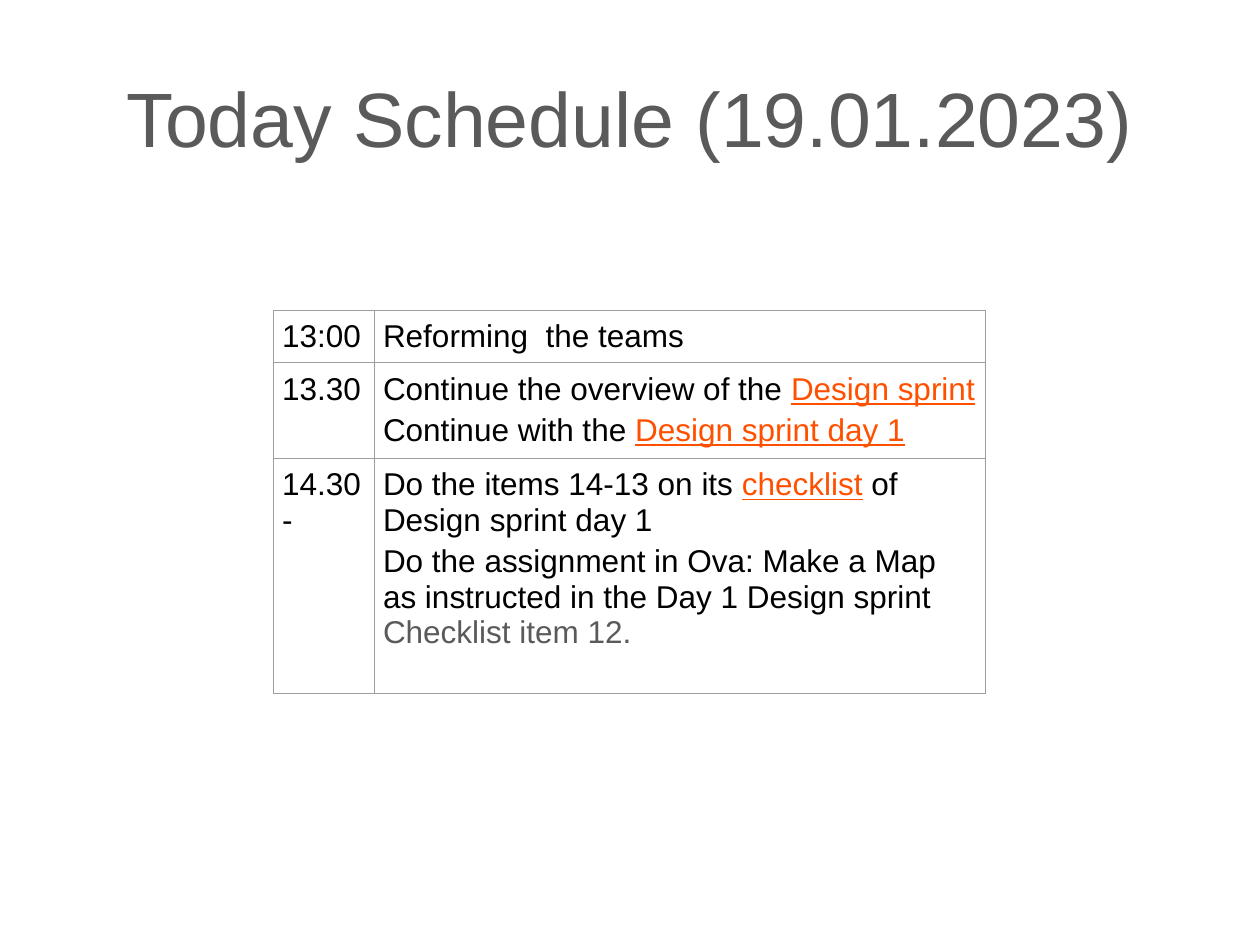
"""Build the schedule slide with its title and timetable."""
from lxml import etree
from pptx import Presentation
from pptx.dml.color import RGBColor
from pptx.enum.text import MSO_ANCHOR, PP_ALIGN
from pptx.oxml.ns import qn
from pptx.util import Inches, Pt

MIDDLE = MSO_ANCHOR.MIDDLE
CENTER = PP_ALIGN.CENTER
BLACK = RGBColor(0x00, 0x00, 0x00)
GRAY = RGBColor(0x5A, 0x5A, 0x5A)
ORANGE = RGBColor(0xFF, 0x50, 0x00)
RULE = RGBColor(0x9E, 0x9E, 0x9E)

PLAIN = {"name": "Arial", "size": Pt(18), "color": BLACK}
LINK = {**PLAIN, "color": ORANGE, "underline": True}
MUTED = {**PLAIN, "color": GRAY}
HEAD = {**MUTED, "size": Pt(44)}

ROWS = [
    (0.41, "13:00", [(3.6, [("Reforming  the teams", PLAIN)])]),
    (0.76, "13.30", [
        (3.6, [("Continue the overview of the ", PLAIN), ("Design sprint", LINK)]),
        (3.6, [("Continue with the ", PLAIN), ("Design sprint day 1", LINK)]),
    ]),
    (1.86, "14.30 -", [
        (3.6, [("Do the items 14-13 on its ", PLAIN), ("checklist", LINK),
               (" of Design sprint day 1", PLAIN)]),
        (3.6, [("Do the assignment in Ova: Make a Map as instructed "
                "in the Day 1 Design sprint", PLAIN)]),
        (0, [("Checklist item 12.", MUTED)]),
    ]),
]


def write(frame, paras):
    for i, (gap, runs) in enumerate(paras):
        para = frame.add_paragraph() if i else frame.paragraphs[0]
        para.space_before = Pt(gap)
        for text, style in runs:
            run = para.add_run()
            run.text = text
            for key, value in style.items():
                if key == "color":
                    run.font.color.rgb = value
                else:
                    setattr(run.font, key, value)


def border(cell):
    props = cell._tc.get_or_add_tcPr()
    for side in ("lnL", "lnR", "lnT", "lnB"):
        line = etree.SubElement(props, qn(f"a:{side}"), w=str(Pt(0.5)))
        fill = etree.SubElement(line, qn("a:solidFill"))
        etree.SubElement(fill, qn("a:srgbClr"), val=str(RULE))


deck = Presentation()
deck.slide_width, deck.slide_height = Inches(10), Inches(7.5)
slide = deck.slides.add_slide(deck.slide_layouts[5])

title = slide.shapes.title
title.left, title.top = Inches(0.5), Inches(0.3)
title.width, title.height = Inches(9), Inches(1.25)
title.text_frame.vertical_anchor = MIDDLE
write(title.text_frame, [(0, [("Today Schedule (19.01.2023)", HEAD)])])
title.text_frame.paragraphs[0].alignment = CENTER

table = slide.shapes.add_table(
    len(ROWS), 2, Inches(2.17), Inches(2.46), Inches(5.65), Inches(3.03)).table
table.first_row = table.horz_banding = False
for col, width in zip(table.columns, (0.8, 4.85)):
    col.width = Inches(width)

for row, (height, time, tasks) in zip(table.rows, ROWS):
    row.height = Inches(height)
    for cell, paras in zip(row.cells, ([(0, [(time, PLAIN)])], tasks)):
        for side in ("left", "right", "top", "bottom"):
            setattr(cell, f"margin_{side}", Inches(0.07))
        border(cell)
        cell.fill.background()
        write(cell.text_frame, paras)

deck.save("out.pptx")
